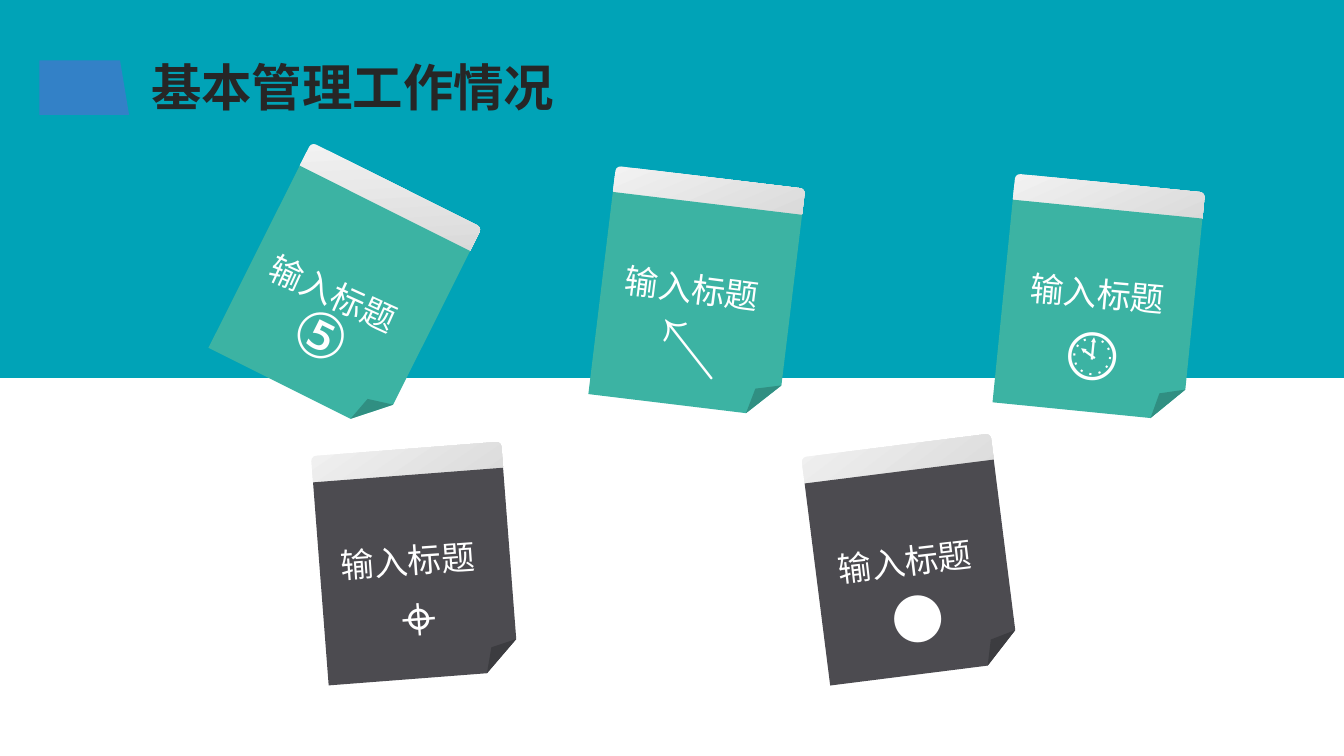
import math

import pptx
import pptx.dml.color
import pptx.enum.dml
import pptx.enum.shapes
import pptx.enum.text
import pptx.oxml
import pptx.oxml.ns
import pptx.util

RGBColor = pptx.dml.color.RGBColor
MSO_SHAPE = pptx.enum.shapes.MSO_SHAPE

PX = 9144  # EMU per px, 100 px to the inch
WIDTH, HEIGHT = 1333, 750

TEAL = RGBColor(0x00, 0xA3, 0xB7)
WHITE = RGBColor(0xFF, 0xFF, 0xFF)
INK = RGBColor(0x26, 0x26, 0x26)
BLUE = RGBColor(0x33, 0x81, 0xC7)
GREEN = RGBColor(0x3C, 0xB3, 0xA3)
SLATE = RGBColor(0x4C, 0x4B, 0x50)
STRIP_LIGHT = RGBColor(0xF2, 0xF2, 0xF2)
STRIP_DARK = RGBColor(0xD9, 0xD9, 0xD9)

CJK_FONT = "Noto Sans CJK SC"
ICON_FONT = "Roboto"

# Paper box (left, top), angle, colour, icon, label offset from paper centre, label angle
NOTE_W, NOTE_H = 189, 202
NOTES = [
    ((242, 196), 26.6, GREEN, "⑤", (-6, -6), 24.4),
    ((318, 471), -4.4, SLATE, "⌖", (-8, -16), -4),
    ((595, 201), 6.9, GREEN, "↖", (-3, -16), 7.3),
    ((810, 467), -7.2, SLATE, "●", (-7, -11), -6.7),
    ((994, 207), 5.7, GREEN, "🕙", (0, -17), 5.1),
]


def emu(*lengths):
    return [round(v * PX) for v in lengths]


def plain(sp, color):
    sp.shadow.inherit = False
    sp.line.fill.background()
    sp.fill.solid()
    sp.fill.fore_color.rgb = color
    return sp


def add_shape(slide, kind, box, color, angle=0):
    sp = plain(slide.shapes.add_shape(kind, *emu(*box)), color)
    sp.rotation = angle
    return sp


def add_text(slide, box, text, size, font, color, bold=False, angle=0, centred=True):
    sp = slide.shapes.add_textbox(*emu(*box))
    sp.rotation = angle
    tf = sp.text_frame
    tf.word_wrap = False
    tf.auto_size = pptx.enum.text.MSO_AUTO_SIZE.SHAPE_TO_FIT_TEXT
    tf.text = text
    p = tf.paragraphs[0]
    if centred:
        p.alignment = pptx.enum.text.PP_ALIGN.CENTER
    r = p.runs[0]
    r.font.size = pptx.util.Pt(size)
    r.font.bold = bold
    r.font.name = font
    r.font.color.rgb = color
    # East Asian typeface
    ea = pptx.oxml.parse_xml(f'<a:ea {pptx.oxml.ns.nsdecls("a")} typeface="{font}"/>')
    r.font._element.append(ea)


def centred_box(cx, cy, w, h):
    return cx - w / 2, cy - h / 2, w, h


def add_background(slide, box):
    x, y, w, h = box
    for i, color in enumerate((TEAL, WHITE)):
        add_shape(slide, MSO_SHAPE.RECTANGLE, (x, y + i * h / 2, w, h / 2), color)


def add_heading(slide, box):
    x, y, w, h = box
    add_text(slide, (x + 101, y, w - 101, h), "基本管理工作情况", 36, CJK_FONT,
             INK, bold=True, centred=False)
    # Slanted tab
    fb = slide.shapes.build_freeform(x, y + 9, scale=PX)
    fb.add_line_segments([(x + 80, y + 9), (x + 89, y + 63), (x, y + 63)], close=True)
    plain(fb.convert_to_shape(), BLUE)


def add_note(slide, box, angle, color, icon):
    x, y, w, h = box
    cx, cy = x + w / 2, y + h / 2
    turn = math.radians(angle)

    def along_axis(distance, part_w, part_h):
        return centred_box(cx - distance * math.sin(turn),
                           cy + distance * math.cos(turn), part_w, part_h)

    # Top strip
    strip = add_shape(slide, MSO_SHAPE.ROUNDED_RECTANGLE, along_axis(-112, w, 30),
                      STRIP_LIGHT, angle)
    strip.fill.gradient()
    strip.fill.gradient_angle = 300
    for stop, pos, tone in zip(strip.fill.gradient_stops, (0, 1), (STRIP_LIGHT, STRIP_DARK)):
        stop.position = pos
        stop.color.rgb = tone
    # Paper and icon
    add_shape(slide, MSO_SHAPE.FOLDED_CORNER, box, color, angle)
    add_text(slide, along_axis(39, 84, 84), icon, 44, ICON_FONT, WHITE, angle=angle)


def add_label(slide, box, offset, angle):
    x, y, w, h = box
    label = centred_box(x + w / 2 + offset[0], y + h / 2 + offset[1], 155, 50)
    add_text(slide, label, "输入标题", 24, CJK_FONT, WHITE, angle=angle)


def main():
    prs = pptx.Presentation()
    prs.slide_width, prs.slide_height = emu(WIDTH, HEIGHT)
    slide = prs.slides.add_slide(prs.slide_layouts[6])

    add_background(slide, (0, 0, WIDTH, HEIGHT))
    for corner, angle, color, icon, offset, label_angle in NOTES:
        box = (*corner, NOTE_W, NOTE_H)
        add_note(slide, box, angle, color, icon)
        add_label(slide, box, offset, label_angle)
    add_heading(slide, (39, 51, 523, 71))

    prs.save("out.pptx")


if __name__ == "__main__":
    main()
